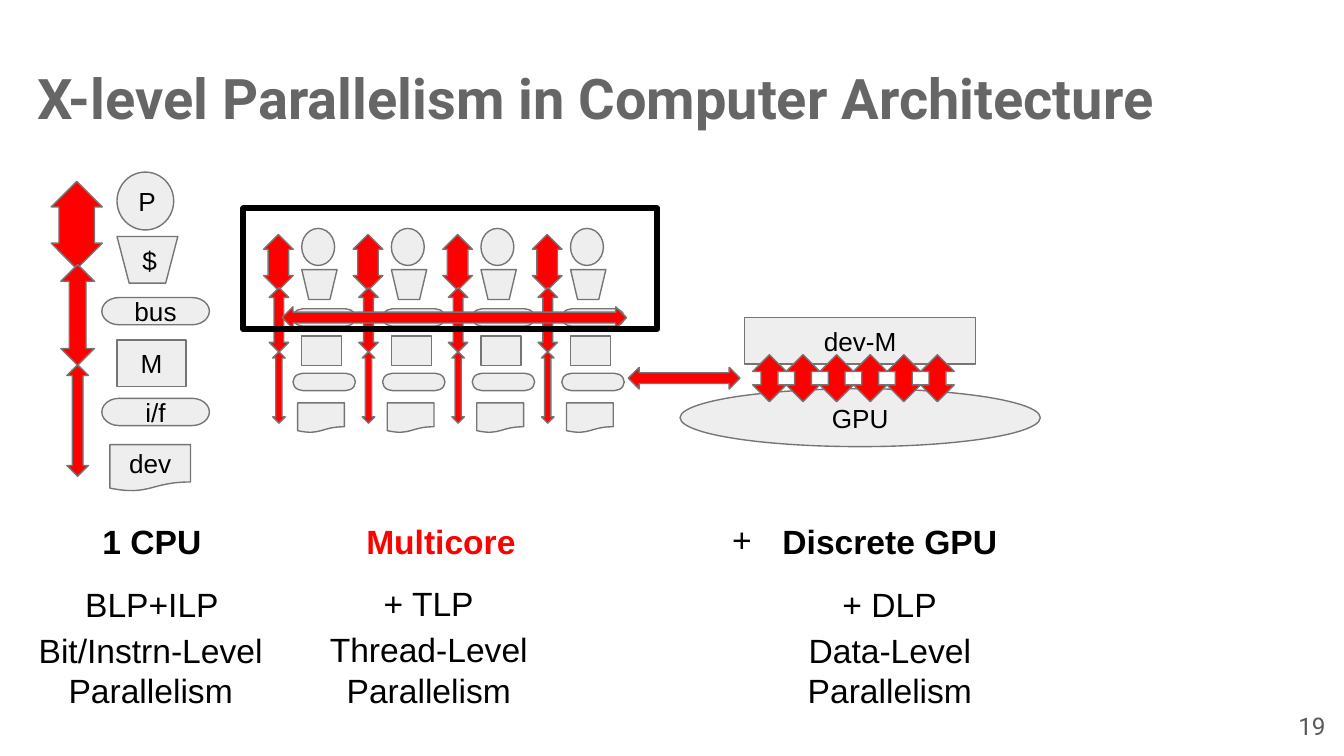
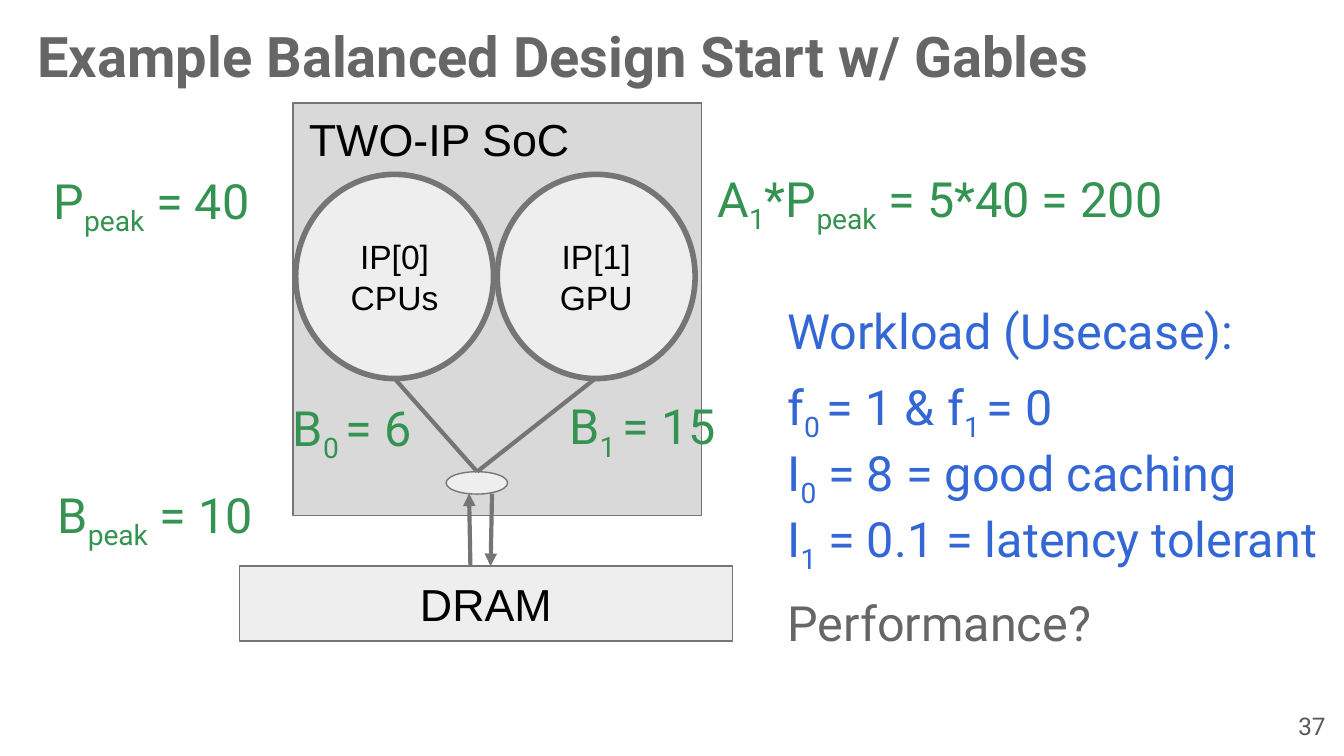
from lxml.etree import SubElement
from pptx import Presentation
from pptx.dml.color import RGBColor
from pptx.enum.shapes import MSO_CONNECTOR, MSO_SHAPE as Kind
from pptx.enum.text import MSO_ANCHOR as Anchor, PP_ALIGN as Align
from pptx.oxml.ns import qn
from pptx.util import Pt

COLORS = {
    "title": "666666", "number": "595959", "text": "000000", "outline": "757575",
    "part": "EEEEEE", "chip": "D9D9D9", "arrow": "FF0000",
    "hardware": "349351", "workload": "3367D6",
}


def draw(shapes, kind, box, fill="part", outline="outline", weight=0.75):
    shape = shapes.add_shape(kind, *[Pt(round(length, 2)) for length in box])
    shape.shadow.inherit = False
    if fill:
        shape.fill.solid()
        shape.fill.fore_color.rgb = RGBColor.from_string(COLORS[fill])
    else:
        shape.fill.background()
    shape.line.color.rgb = RGBColor.from_string(COLORS[outline])
    shape.line.width = Pt(weight)
    return shape


def write(shape, text, size, color="text", font="Arial", bold=False,
          align=Align.CENTER, anchor=Anchor.MIDDLE):
    """Fill a shape with text; parts between bars become subscripts."""
    frame = shape.text_frame
    frame.word_wrap = True
    frame.vertical_anchor = anchor
    frame.margin_left = frame.margin_right = Pt(7.2)
    frame.margin_top = frame.margin_bottom = Pt(7.2)
    frame.text = text
    for para in frame.paragraphs:
        para.alignment = align
        first, *others = para.text.split("|")
        para.text = first
        for part in others:
            para.add_run().text = part
        for index, span in enumerate(para.runs):
            span.font.size = Pt(size)
            span.font.name = font
            span.font.bold = bold
            span.font.color.rgb = RGBColor.from_string(COLORS[color])
            if others and index % 2:
                span.font.size = Pt(size)
                span._r.get_or_add_rPr().set("baseline", "-25000")
    return frame


deck = Presentation()
deck.slide_width, deck.slide_height = Pt(720), Pt(405)

# Title and slide number on both pages
pages = []
for title, top, number in [
    ("X-level Parallelism in Computer Architecture", 17.3, "19"),
    ("Example Balanced Design Start w/ Gables", -5, "37"),
]:
    page = deck.slides.add_slide(deck.slide_layouts[6])
    box = page.shapes.add_textbox(Pt(13), Pt(top), Pt(687.6), Pt(59.8))
    write(box, title, 30, "title", "Roboto", True, Align.LEFT, Anchor.BOTTOM)
    box = page.shapes.add_textbox(Pt(674), Pt(373.7), Pt(43.2), Pt(31))
    write(box, number, 13, "number", "Roboto", align=Align.RIGHT, anchor=Anchor.TOP)
    pages.append(page)
levels, gables = pages

# Processor stacks: one large and labelled, four small
stack_parts = [
    (Kind.OVAL, "P", 35.3, 0, 30.4, 31),
    (Kind.FLOWCHART_MANUAL_OPERATION, "$", 35.3, 34.5, 32.6, 25),
    (Kind.RECTANGLE, "M", 35.3, 90, 37, 25),
    (Kind.FLOWCHART_TERMINATOR, "bus", 27.2, 67.2, 57.6, 14.6),
    (Kind.FLOWCHART_TERMINATOR, "i/f", 27.2, 121.2, 57.6, 14.6),
    (Kind.FLOWCHART_DOCUMENT, "dev", 31.5, 146, 43.2, 25),
    (Kind.UP_DOWN_ARROW, "", 0, 5, 27.4, 46.8),
    (Kind.UP_DOWN_ARROW, "", 5.2, 49.5, 18, 54),
    (Kind.UP_DOWN_ARROW, "", 8.4, 103.2, 11.6, 59.8),
]
stacks = [(27.4, 92.2, 1, 1)]
stacks += [(141.2 + 48 * core, 122.4, 0.58, 0.64) for core in range(4)]
for left, top, wide, high in stacks:
    group = levels.shapes.add_group_shape()
    for kind, label, x, y, width, height in stack_parts:
        is_arrow = kind == Kind.UP_DOWN_ARROW
        part = draw(group.shapes, kind,
                    (left + x * wide, top + y * high, width * wide, height * high),
                    "arrow" if is_arrow else "part")
        if is_arrow and y == 5:
            part.adjustments[1] = 0.693
        if label and wide == 1:
            write(part, label, 14)

# Arrow across the cores and the frame around them
across = draw(levels.shapes, Kind.UP_DOWN_ARROW, (237.6, 77.9, 11.6, 184.5), "arrow")
across.rotation = 90
draw(levels.shapes, Kind.RECTANGLE, (130.3, 111.6, 221.8, 64.8), None, "text", 3)

# Discrete GPU with its memory and arrows
write(draw(levels.shapes, Kind.OVAL, (364.3, 208.3, 193, 31)), "GPU", 14)
write(draw(levels.shapes, Kind.RECTANGLE, (398.9, 170.1, 123.8, 25)), "dev-M", 14)
link = draw(levels.shapes, Kind.UP_DOWN_ARROW, (360.7, 172.7, 11.6, 59.8), "arrow")
link.rotation = 90
for lane in range(6):
    draw(levels.shapes, Kind.UP_DOWN_ARROW, (403.2 + 18 * lane, 190, 18, 25.2), "arrow")

# Captions under the three machines
captions = [
    ("1 CPU", 27.4, 276.5, 108, "text", True),
    ("Multicore", 150.5, 276.5, 171.4, "arrow", True),
    ("Discrete GPU", 373, 276.5, 171.4, "text", True),
    ("BLP+ILP", 27.4, 310.3, 108, "text", False),
    ("+ TLP", 175.7, 309.8, 108, "text", False),
    ("+ DLP", 422.6, 310.3, 108, "text", False),
    ("Bit/Instrn-Level\vParallelism", 13, 345.6, 135.4, "text", False),
    ("Thread-Level\vParallelism", 162, 345.4, 135.4, "text", False),
    ("Data-Level\vParallelism", 409, 345.6, 135.4, "text", False),
]
for text, left, top, width, color, bold in captions:
    box = levels.shapes.add_textbox(Pt(left), Pt(top), Pt(width), Pt(26.6))
    frame = write(box, text, 18, color, bold=bold)
    if text == "Discrete GPU":
        props = frame.paragraphs[0]._p.get_or_add_pPr()
        props.set("marL", str(Pt(36)))
        props.set("indent", str(Pt(-27)))
        SubElement(SubElement(props, qn("a:buClr")), qn("a:srgbClr")).set("val", COLORS["text"])
        SubElement(props, qn("a:buSzPts")).set("val", "1800")
        SubElement(props, qn("a:buFont")).set("typeface", "Arial")
        SubElement(props, qn("a:buChar")).set("char", "+")

# SoC, its two IPs, and the memory
draw(gables.shapes, Kind.RECTANGLE, (157, 55.3, 219, 221), "chip")
write(draw(gables.shapes, Kind.RECTANGLE, (128.2, 303.3, 264.2, 40.2)), "DRAM", 24)
for label, left in [("IP[0]\nCPUs", 158.4), ("IP[1]\nGPU", 266.4)]:
    write(draw(gables.shapes, Kind.OVAL, (left, 93.4, 106, 109.4), weight=3), label, 18)
draw(gables.shapes, Kind.OVAL, (239, 252.7, 33, 12))
box = gables.shapes.add_textbox(Pt(158.4), Pt(52.6), Pt(193), Pt(49.7))
write(box, "TWO-IP SoC", 24, align=Align.LEFT, anchor=Anchor.TOP)

# Links from the IPs to the hub, arrows between hub and memory
for x1, y1, x2, y2, arrow in [
    (255.6, 252.7, 211.2, 202.6, False),
    (255.6, 252.7, 319.2, 202.6, False),
    (252, 303.3, 251.3, 264.4, True),
    (263.6, 264.4, 262.8, 303.3, True),
]:
    line = gables.shapes.add_connector(MSO_CONNECTOR.STRAIGHT, Pt(x1), Pt(y1), Pt(x2), Pt(y2))
    line.line.color.rgb = RGBColor.from_string(COLORS["outline"])
    line.line.width = Pt(2.25)
    if arrow:
        SubElement(line.line._get_or_add_ln(), qn("a:tailEnd")).set("type", "triangle")
    SubElement(line._element.spPr, qn("a:effectLst"))

# Hardware parameters
for text, left, top, width in [
    ("P|peak| = 40", 21.6, 84.2, 144.7),
    ("A|1|*P|peak| = 5*40 = 200", 377.3, 83.5, 296.6),
    ("B|0 |= 6", 149.8, 206, 120.2),
    ("B|1 |= 15", 298, 205.2, 120.2),
    ("B|peak| = 10", 23.8, 252.7, 139),
]:
    box = gables.shapes.add_textbox(Pt(left), Pt(top), Pt(width), Pt(57.6))
    write(box, text, 26, "hardware", "Roboto", align=Align.LEFT, anchor=Anchor.TOP)

# Workload and closing question
box = gables.shapes.add_textbox(Pt(414.7), Pt(154), Pt(320.4), Pt(199.4))
frame = write(
    box,
    "Workload (Usecase):\nf|0 |= 1 & f|1 |= 0\nI|0| = 8 = good caching\n"
    "I|1| = 0.1 = latency tolerant\nPerformance?",
    26, "workload", "Roboto", align=Align.LEFT, anchor=Anchor.TOP)
for index in (1, 4):
    frame.paragraphs[index].space_before = Pt(9.4)
question = frame.paragraphs[4].runs[0]
question.font.color.rgb = RGBColor.from_string(COLORS["title"])

deck.save("out.pptx")
